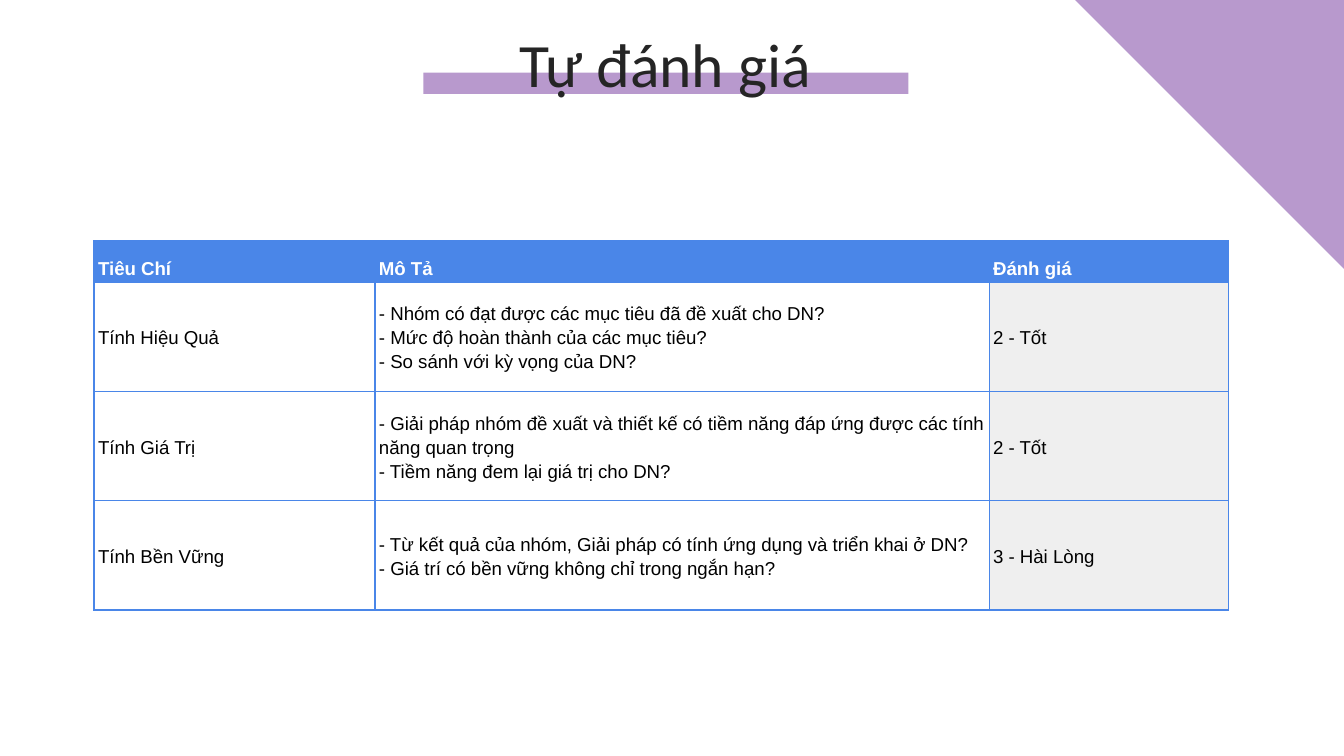
from lxml import etree
from pptx import Presentation
from pptx.dml.color import RGBColor
from pptx.enum import shapes, text
from pptx.oxml import ns
from pptx.util import Inches, Pt

# Content
TITLE = "Tự đánh giá "
HEAD = ["Tiêu Chí", "Mô Tả", "Đánh giá"]
ROWS = [
    ("Tính Hiệu Quả",
     "- Nhóm có đạt được các mục tiêu đã đề xuất cho DN?\n"
     "- Mức độ hoàn thành của các mục tiêu?\n"
     "- So sánh với kỳ vọng của DN?",
     "2 - Tốt"),
    ("Tính Giá Trị",
     "- Giải pháp nhóm đề xuất và thiết kế có tiềm năng đáp ứng được các tính năng quan trọng\n"
     "- Tiềm năng đem lại giá trị cho DN?",
     "2 - Tốt"),
    ("Tính Bền Vững",
     "- Từ kết quả của nhóm, Giải pháp có tính ứng dụng và triển khai ở DN?\n"
     "- Giá trí có bền vững không chỉ trong ngắn hạn?",
     "3 - Hài Lòng"),
]
COLS = [2.09, 4.57, 1.78]
TABLE_H, HEAD_H = 2.75, 0.31
ROW_H = (TABLE_H - HEAD_H) / len(ROWS)

PURPLE = RGBColor(0xB8, 0x99, 0xCD)
BLUE = RGBColor(0x4A, 0x86, 0xE8)
GREY = RGBColor(0xEF, 0xEF, 0xEF)
DARK = RGBColor(0x25, 0x25, 0x25)
BLACK = RGBColor(0, 0, 0)
WHITE = RGBColor(0xFF, 0xFF, 0xFF)


def write(frame, words, size=10, font="Arial", color=BLACK, bold=False,
          align=text.PP_ALIGN.LEFT, space=1.15):
    frame.word_wrap = True
    for i, line in enumerate(words.split("\n")):
        par = frame.paragraphs[0] if i == 0 else frame.add_paragraph()
        par.alignment, par.line_spacing = align, space
        run = par.add_run()
        run.text = line
        run.font.size, run.font.name, run.font.bold = Pt(size), font, bold
        run.font.color.rgb = color


def block(slide, kind, box, turn=0):
    shape = slide.shapes.add_shape(kind, *map(Inches, box))
    shape.rotation = turn
    shape.shadow.inherit = False
    shape.fill.solid()
    shape.fill.fore_color.rgb = PURPLE
    shape.line.fill.background()


def border(cell, color, width=0.75):
    props = cell._tc.get_or_add_tcPr()
    for i, side in enumerate(("lnL", "lnR", "lnT", "lnB")):
        line = etree.Element(ns.qn("a:" + side), w=str(Pt(width)))
        fill = etree.SubElement(line, ns.qn("a:solidFill"))
        etree.SubElement(fill, ns.qn("a:srgbClr"), val=str(color))
        props.insert(i, line)


def main():
    # Wide slide, 16:9
    prs = Presentation()
    prs.slide_width = Inches(10)
    prs.slide_height = prs.slide_width * 9 // 16
    slide = prs.slides.add_slide(prs.slide_layouts[6])

    # Corner and title bar
    block(slide, shapes.MSO_SHAPE.RIGHT_TRIANGLE, (8, 0, 2, 2), turn=180)
    block(slide, shapes.MSO_SHAPE.RECTANGLE, (3.15, 0.54, 3.61, 0.16))

    # Title
    frame = slide.shapes.add_textbox(*map(Inches, (0.34, 0.09, 9.32, 0.96))).text_frame
    frame.margin_left = frame.margin_right = Inches(0.1)
    frame.margin_top = frame.margin_bottom = Inches(0.1)
    frame.vertical_anchor = text.MSO_ANCHOR.TOP
    write(frame, TITLE, size=33, font="Calibri", color=DARK,
          align=text.PP_ALIGN.CENTER, space=1.0)

    # Table
    data = [HEAD, *ROWS]
    highs = [HEAD_H] + [ROW_H] * len(ROWS)
    table = slide.shapes.add_table(
        len(data), len(COLS), Inches(0.7), Inches(1.79),
        Inches(sum(COLS)), Inches(TABLE_H)).table
    table.horz_banding = False
    for col, wide in zip(table.columns, COLS):
        col.width = Inches(wide)
    for r, (row, high) in enumerate(zip(data, highs)):
        table.rows[r].height = Inches(high)
        for c, words in enumerate(row):
            cell, head = table.cell(r, c), r == 0
            cell.margin_left = cell.margin_right = Inches(0.03)
            cell.margin_top = cell.margin_bottom = Inches(0.02)
            cell.vertical_anchor = text.MSO_ANCHOR.BOTTOM if head else text.MSO_ANCHOR.MIDDLE
            if head or c == len(COLS) - 1:
                cell.fill.solid()
                cell.fill.fore_color.rgb = BLUE if head else GREY
            else:
                cell.fill.background()
            border(cell, BLUE)
            write(cell.text_frame, words, color=WHITE if head else BLACK, bold=head)

    prs.save("out.pptx")


if __name__ == "__main__":
    main()
